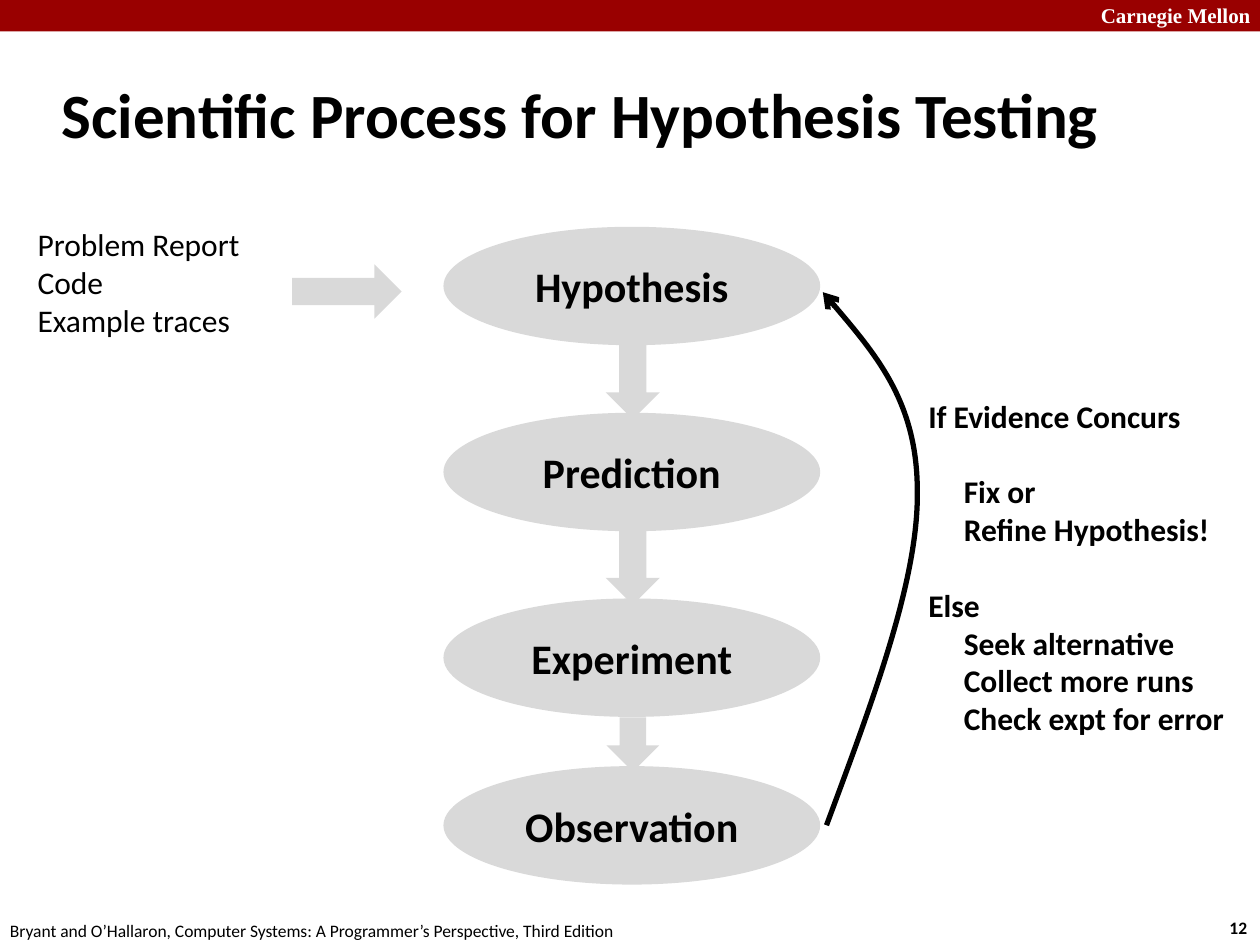
from dataclasses import dataclass
from typing import NamedTuple

from lxml.etree import SubElement
from pptx import Presentation
from pptx.dml.color import RGBColor
from pptx.enum.shapes import MSO_SHAPE as Preset
from pptx.enum.text import MSO_ANCHOR as Anchor, MSO_AUTO_SIZE as AutoSize, PP_ALIGN as Align
from pptx.oxml.ns import qn
from pptx.util import Pt


@dataclass(frozen=True)
class Theme:
    black: RGBColor = RGBColor(0, 0, 0)
    white: RGBColor = RGBColor(255, 255, 255)
    banner: RGBColor = RGBColor(0x99, 0, 0)
    gray: RGBColor = RGBColor(0xD9, 0xD9, 0xD9)
    font: str = "Calibri"
    serif: str = "Times New Roman"
    title: int = 36
    stage: int = 24
    body: int = 18
    brand: int = 12
    footer: int = 10


class Area(NamedTuple):
    left: float
    top: float
    width: float
    height: float

    def lengths(self) -> list:
        return [Pt(value) for value in self]


class Line(NamedTuple):
    text: str
    indent: float = 0
    before: float = 0


class Arrow(NamedTuple):
    center_x: float
    center_y: float
    length: float
    breadth: float
    rotation: int = 90


THEME = Theme()

# Process stages with the top of each ellipse
STAGES = {"Hypothesis": 129.6, "Prediction": 235.9, "Experiment": 342.0, "Observation": 437.8}
ARROWS = [
    Arrow(198.2, 166.6, 62.6, 31, rotation=0),
    Arrow(361.6, 208.4, 62.6, 31),
    Arrow(361.6, 314.4, 62.6, 31),
    Arrow(361.6, 425.5, 31, 30.2),
]
INPUTS = [Line("Problem Report"), Line("Code"), Line("Example traces")]
STEP, GAP = 20.3, 21.6
OUTCOMES = [
    Line("If Evidence Concurs"),
    Line("Fix or", STEP, GAP),
    Line("Refine Hypothesis!", STEP),
    Line("Else", 0, GAP),
    Line("Seek alternative", STEP),
    Line("Collect more runs", STEP),
    Line("Check expt for error", STEP),
]
# Start point, then two control points and an end point for each curve
FEEDBACK = [
    (472.3, 471.6),
    (498.2, 401.8), (524.9, 331.9), (524.2, 280.8),
    (524.2, 230.4), (497.5, 198.7), (470.2, 167),
]


def write(para, text: str, *, size: int, bold: bool = False, color: RGBColor = THEME.black,
          font: str = THEME.font, align=Align.LEFT) -> None:
    para.alignment = align
    span = para.add_run()
    span.text = text
    span.font.size, span.font.bold, span.font.name = Pt(size), bold, font
    span.font.color.rgb = color


def set_indent(para, margin: float, first: float = 0) -> None:
    properties = para._p.get_or_add_pPr()
    properties.set("marL", str(Pt(margin)))
    properties.set("indent", str(Pt(first)))


def add_text(page, area: Area, lines: list[Line], wrap: bool = False, **style) -> None:
    frame = page.shapes.add_textbox(*area.lengths()).text_frame
    frame.word_wrap = wrap
    frame.auto_size = AutoSize.SHAPE_TO_FIT_TEXT
    for number, line in enumerate(lines):
        para = frame.add_paragraph() if number else frame.paragraphs[0]
        if line.indent:
            set_indent(para, line.indent)
        if line.before:
            para.space_before = Pt(line.before)
        write(para, line.text, **style)


def add_block(page, preset, area: Area, color: RGBColor):
    block = page.shapes.add_shape(preset, *area.lengths())
    block.shadow.inherit = False
    block.fill.solid()
    block.fill.fore_color.rgb = color
    block.line.fill.background()
    return block


def add_stage(page, name: str, top: float) -> None:
    oval = add_block(page, Preset.OVAL, Area(253.4, top, 215.3, 67.7), THEME.gray)
    oval.text_frame.vertical_anchor = Anchor.MIDDLE
    write(oval.text_frame.paragraphs[0], name, size=THEME.stage, bold=True, align=Align.CENTER)


def add_arrow(page, arrow: Arrow) -> None:
    area = Area(arrow.center_x - arrow.length / 2, arrow.center_y - arrow.breadth / 2,
                arrow.length, arrow.breadth)
    add_block(page, Preset.RIGHT_ARROW, area, THEME.gray).rotation = arrow.rotation


def add_curve(page, points: list[tuple[float, float]]) -> None:
    start, *rest = [(Pt(x), Pt(y)) for x, y in points]
    builder = page.shapes.build_freeform(*start)
    builder.add_line_segments(rest, close=False)
    curve = builder.convert_to_shape()
    curve.shadow.inherit = False
    curve.fill.background()
    curve.line.color.rgb = THEME.black
    curve.line.width = Pt(3)
    # Regroup every three straight segments as one Bezier segment
    outline = next(curve._element.iter(qn("a:path")))
    segments = outline.findall(qn("a:lnTo"))
    for first in range(0, len(segments), 3):
        bezier = SubElement(outline, qn("a:cubicBezTo"))
        for segment in segments[first:first + 3]:
            bezier.append(segment[0])
            outline.remove(segment)
    SubElement(curve.line._get_or_add_ln(), qn("a:tailEnd"), type="arrow")


def add_title(page, text: str) -> None:
    title = page.shapes.title
    title.left, title.top, title.width, title.height = Area(28, 34.6, 666.7, 59.8).lengths()
    frame = title.text_frame
    frame.vertical_anchor = Anchor.MIDDLE
    frame.auto_size = AutoSize.NONE
    set_indent(frame.paragraphs[0], 9.4, -9.4)
    write(frame.paragraphs[0], text, size=THEME.title, bold=True)


def main() -> None:
    deck = Presentation()
    deck.slide_width, deck.slide_height = Pt(720), Pt(540)
    page = deck.slides.add_slide(deck.slide_layouts[5])

    # Banner, footer and title
    add_block(page, Preset.RECTANGLE, Area(0, 0, 720, 18), THEME.banner)
    add_text(page, Area(622, -2.2, 103, 21.6), [Line("Carnegie Mellon")], wrap=True,
             size=THEME.brand, bold=True, color=THEME.white, font=THEME.serif)
    add_text(page, Area(695.5, 520.6, 26.6, 19.4), [Line("12")], size=THEME.footer, bold=True)
    add_text(page, Area(-1.4, 522, 365.8, 19.4), [Line(
        "Bryant and O’Hallaron, Computer Systems: A Programmer’s Perspective, Third Edition")],
        size=THEME.footer)
    add_title(page, "Scientific Process for Hypothesis Testing")

    # Inputs, process stages and arrows
    add_text(page, Area(14.4, 125.3, 133.9, 72.7), INPUTS, size=THEME.body)
    for name, top in STAGES.items():
        add_stage(page, name, top)
    for arrow in ARROWS:
        add_arrow(page, arrow)

    # Feedback loop and its outcomes
    add_curve(page, FEEDBACK)
    add_text(page, Area(523.4, 223.2, 189.4, 203.8), OUTCOMES, size=THEME.body, bold=True)
    deck.save("out.pptx")


if __name__ == "__main__":
    main()
